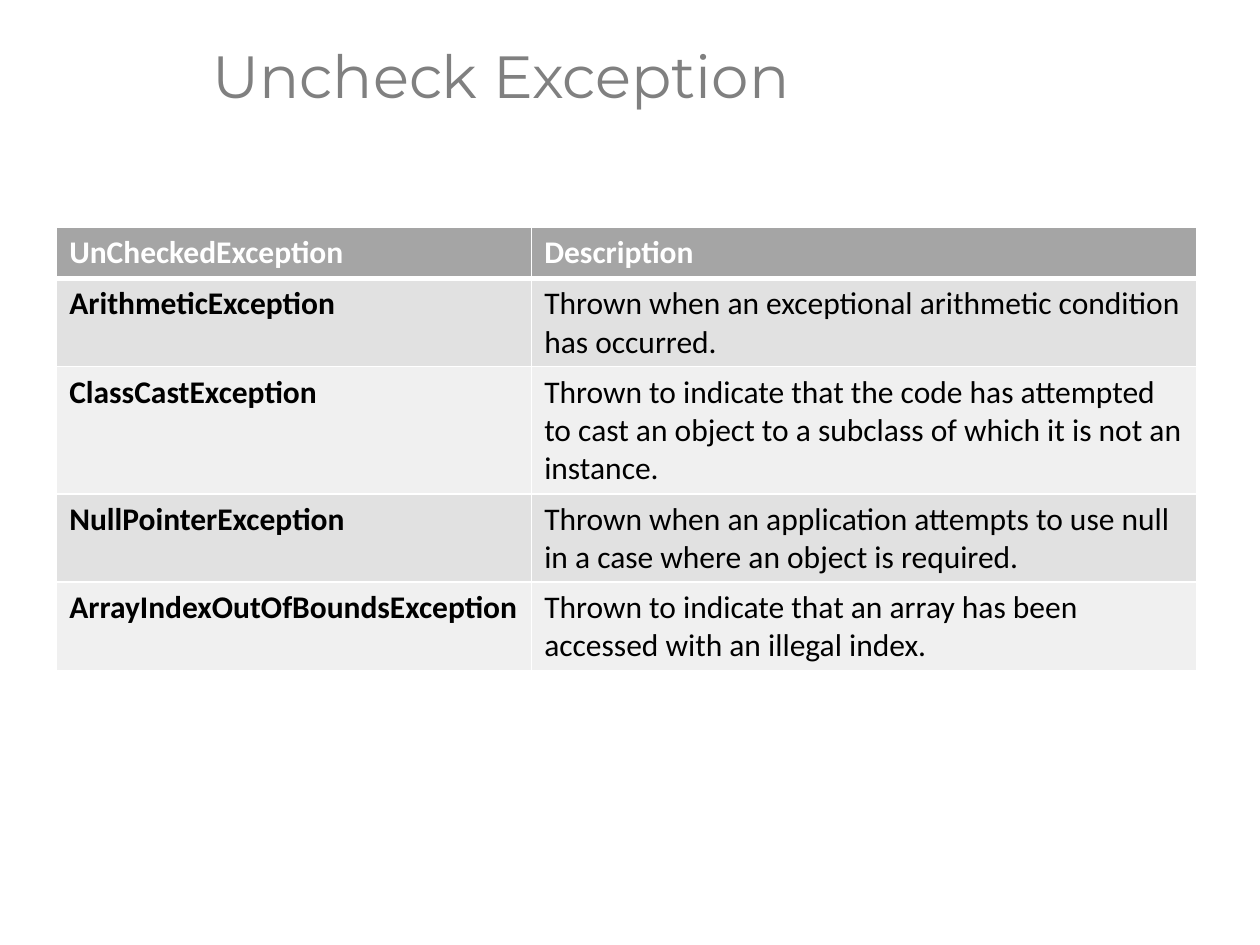
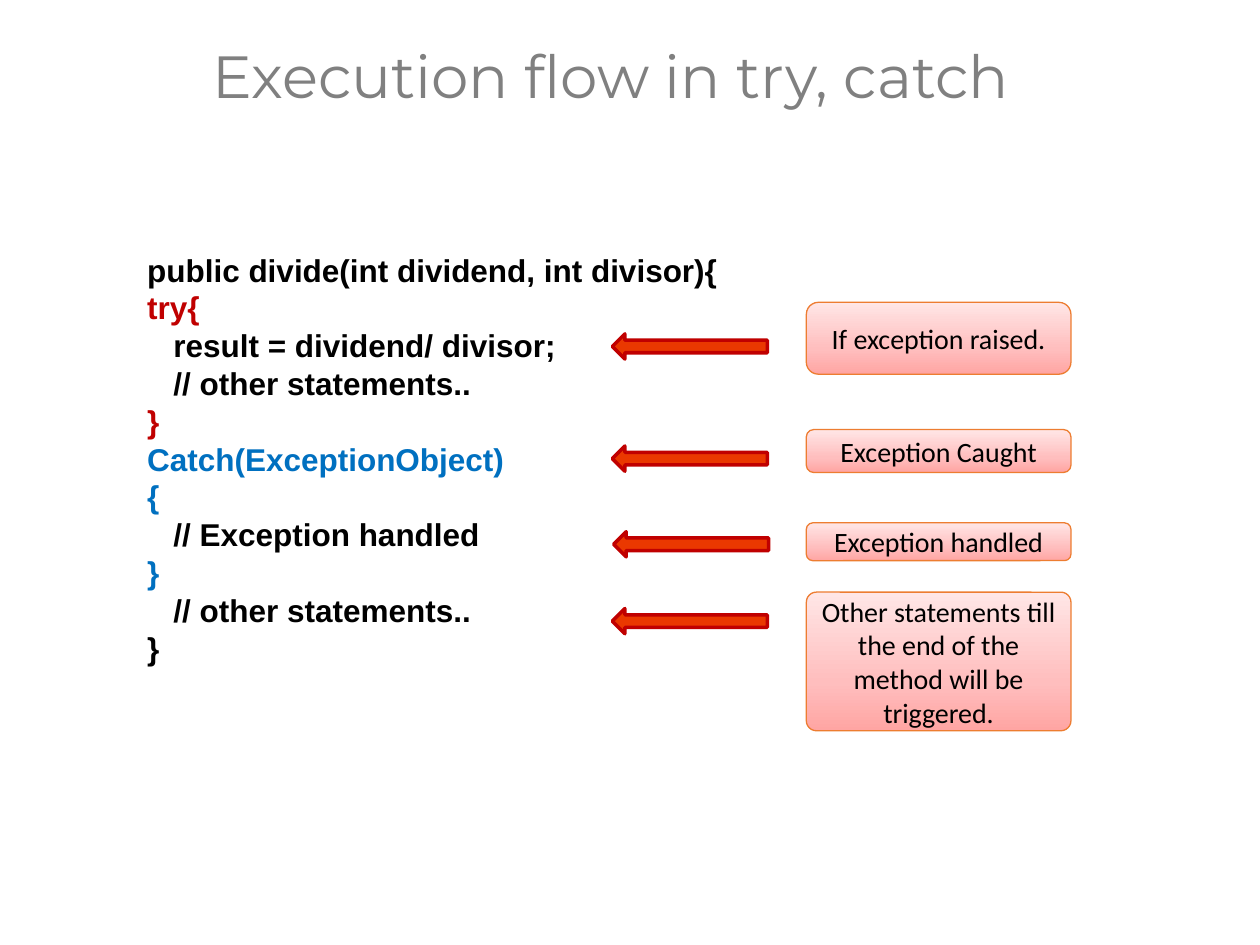
from copy import deepcopy

from lxml.etree import SubElement
from pptx import Presentation
from pptx.dml.color import RGBColor
from pptx.enum.shapes import MSO_SHAPE as Shape
from pptx.enum.text import MSO_ANCHOR as Anchor, MSO_AUTO_SIZE as AutoSize, PP_ALIGN as Align
from pptx.oxml.ns import qn
from pptx.util import Inches, Pt

BLACK = RGBColor(0x00, 0x00, 0x00)
WHITE = RGBColor(0xFF, 0xFF, 0xFF)
TITLE_GRAY = RGBColor(0x80, 0x80, 0x80)
HEADER_GRAY = RGBColor(0xA5, 0xA5, 0xA5)
BAND_DARK = RGBColor(0xE1, 0xE1, 0xE1)
BAND_LIGHT = RGBColor(0xF0, 0xF0, 0xF0)
RED = RGBColor(0xC0, 0x00, 0x00)
BLUE = RGBColor(0x00, 0x70, 0xC0)
ARROW_ORANGE = RGBColor(0xEA, 0x38, 0x00)
NOTE_EDGE = RGBColor(0xED, 0x7D, 0x31)
NOTE_STOPS = [
    (0, RGBColor(0xFF, 0xA5, 0xA3)),
    (0.35, RGBColor(0xFF, 0xBE, 0xBE)),
    (1, RGBColor(0xFF, 0xE6, 0xE6)),
]

EXCEPTIONS = [
    ("UnCheckedException", "Description"),
    ("ArithmeticException",
     "Thrown when an exceptional arithmetic condition has occurred."),
    ("ClassCastException",
     "Thrown to indicate that the code has attempted to cast an object "
     "to a subclass of which it is not an instance."),
    ("NullPointerException",
     "Thrown when an application attempts to use null in a case where an object is required."),
    ("ArrayIndexOutOfBoundsException",
     "Thrown to indicate that an array has been accessed with an illegal index."),
]
ROW_HEIGHTS = [0.41, 0.7, 1.01, 0.7, 0.7]

CODE = [
    ("public divide(int dividend, int divisor){", BLACK),
    ("try{", RED),
    ("\t  result = dividend/ divisor;", BLACK),
    ("\t  // other statements..", BLACK),
    ("}", RED),
    ("Catch(ExceptionObject)", BLUE),
    ("{", BLUE),
    ("\t  // Exception handled", BLACK),
    ("}", BLUE),
    ("\t  // other statements..", BLACK),
    ("}", BLACK),
]

# Note text, its top, height and corner, then the arrow's left and top
STEPS = [
    ("If exception raised.", 2.4, 0.57, 0.167, 4.86, 2.65),
    ("Exception Caught", 3.41, 0.34, 0.167, 4.86, 3.54),
    ("Exception handled", 4.15, 0.3, 0.167, 4.87, 4.22),
    ("Other statements till the end of the method will be triggered.",
     4.7, 1.1, 0.073, 4.86, 4.83),
]


def write(paragraph, text, font="Calibri", size=18, color=BLACK, bold=False, align=None):
    run = paragraph.add_run()
    run.text = text
    run.font.name = font
    run.font.size = Pt(size)
    run.font.color.rgb = color
    run.font.bold = bold
    if align is not None:
        paragraph.alignment = align


def set_border(cell, side, width):
    edge = SubElement(cell._tc.get_or_add_tcPr(), qn(f"a:ln{side}"), w=str(Pt(width)))
    paint = SubElement(edge, qn("a:solidFill"))
    SubElement(paint, qn("a:srgbClr"), val=str(WHITE))


class Deck:
    def __init__(self):
        self.prs = Presentation()
        self.prs.slide_width = Inches(10)
        self.prs.slide_height = Inches(7.5)
        self.slide = None

    def new_slide(self, title):
        self.slide = self.prs.slides.add_slide(self.prs.slide_layouts[6])
        frame = self.text_frame(1.59, 0.01, 8.41, 1.24)
        frame.vertical_anchor = Anchor.MIDDLE
        heading = frame.paragraphs[0]
        heading.line_spacing = 0.9
        write(heading, title, font="Montserrat", size=34, color=TITLE_GRAY)

    def text_frame(self, *box):
        frame = self.slide.shapes.add_textbox(*map(Inches, box)).text_frame
        frame.word_wrap = True
        return frame

    def table(self, left, top, widths, heights, rows):
        table = self.slide.shapes.add_table(
            len(rows), len(widths), Inches(left), Inches(top),
            Inches(sum(widths)), Inches(sum(heights))).table
        table.first_row = table.horz_banding = False
        for column, width in zip(table.columns, widths):
            column.width = Inches(width)
        for r, (row, height) in enumerate(zip(rows, heights)):
            table.rows[r].height = Inches(height)
            header = r == 0
            for c, text in enumerate(row):
                cell = table.cell(r, c)
                for side in "LRTB":
                    under_header = (r, side) in ((0, "B"), (1, "T"))
                    set_border(cell, side, 3 if under_header else 1)
                cell.fill.solid()
                cell.fill.fore_color.rgb = (
                    HEADER_GRAY if header else BAND_DARK if r % 2 else BAND_LIGHT)
                write(cell.text_frame.paragraphs[0], text,
                      color=WHITE if header else BLACK, bold=header or c == 0)

    def code(self, lines, *box):
        frame = self.text_frame(*box)
        frame.auto_size = AutoSize.SHAPE_TO_FIT_TEXT
        for i, (text, color) in enumerate(lines):
            line = frame.add_paragraph() if i else frame.paragraphs[0]
            props = line._p.get_or_add_pPr()
            props.set("marL", "0")
            props.set("indent", str(Inches(0.43)))
            tabs = SubElement(props, qn("a:tabLst"))
            SubElement(tabs, qn("a:tab"), pos=str(Inches(0.5)), algn="l")
            write(line, text, font="Arial", color=color, bold=True)

    def shape(self, kind, box, edge, edge_width):
        shape = self.slide.shapes.add_shape(kind, *map(Inches, box))
        shape.shadow.inherit = False
        shape.line.color.rgb = edge
        shape.line.width = Pt(edge_width)
        return shape

    def arrow(self, left, top):
        arrow = self.shape(Shape.LEFT_ARROW, (left, top, 1.23, 0.2), RED, 2)
        arrow.fill.solid()
        arrow.fill.fore_color.rgb = ARROW_ORANGE

    def note(self, text, top, height, corner):
        note = self.shape(Shape.ROUNDED_RECTANGLE, (6.4, top, 2.1, height), NOTE_EDGE, 0.75)
        note.adjustments[0] = corner
        # Three-stop gradient, darkest at the bottom
        note.fill.gradient()
        note.fill.gradient_angle = 90
        stop_list = note._element.spPr.find(".//" + qn("a:gsLst"))
        stop_list.append(deepcopy(stop_list[0]))
        for stop, (position, color) in zip(note.fill.gradient_stops, NOTE_STOPS):
            stop.position = position
            stop.color.rgb = color
        frame = note.text_frame
        frame.word_wrap = True
        frame.vertical_anchor = Anchor.MIDDLE
        write(frame.paragraphs[0], text, size=16, align=Align.CENTER)


def main():
    deck = Deck()

    # Table of unchecked exceptions
    deck.new_slide("Uncheck Exception")
    deck.table(0.45, 1.8, [3.77, 5.28], ROW_HEIGHTS, EXCEPTIONS)

    # Code with the steps of its execution
    deck.new_slide("Execution flow in try, catch")
    deck.code(CODE, 0.64, 1.94, 5.94, 3.43)
    for text, top, height, corner, arrow_left, arrow_top in STEPS:
        deck.arrow(arrow_left, arrow_top)
        deck.note(text, top, height, corner)

    deck.prs.save("out.pptx")


if __name__ == "__main__":
    main()
